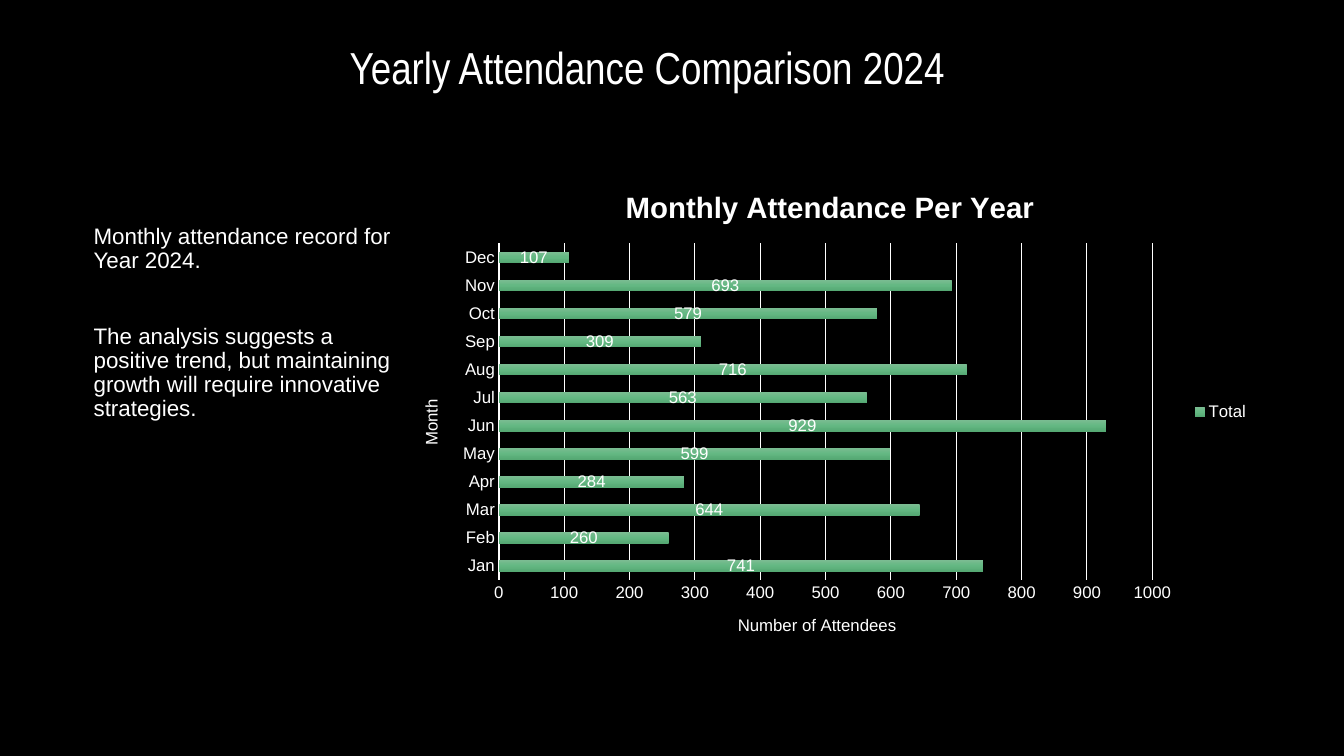
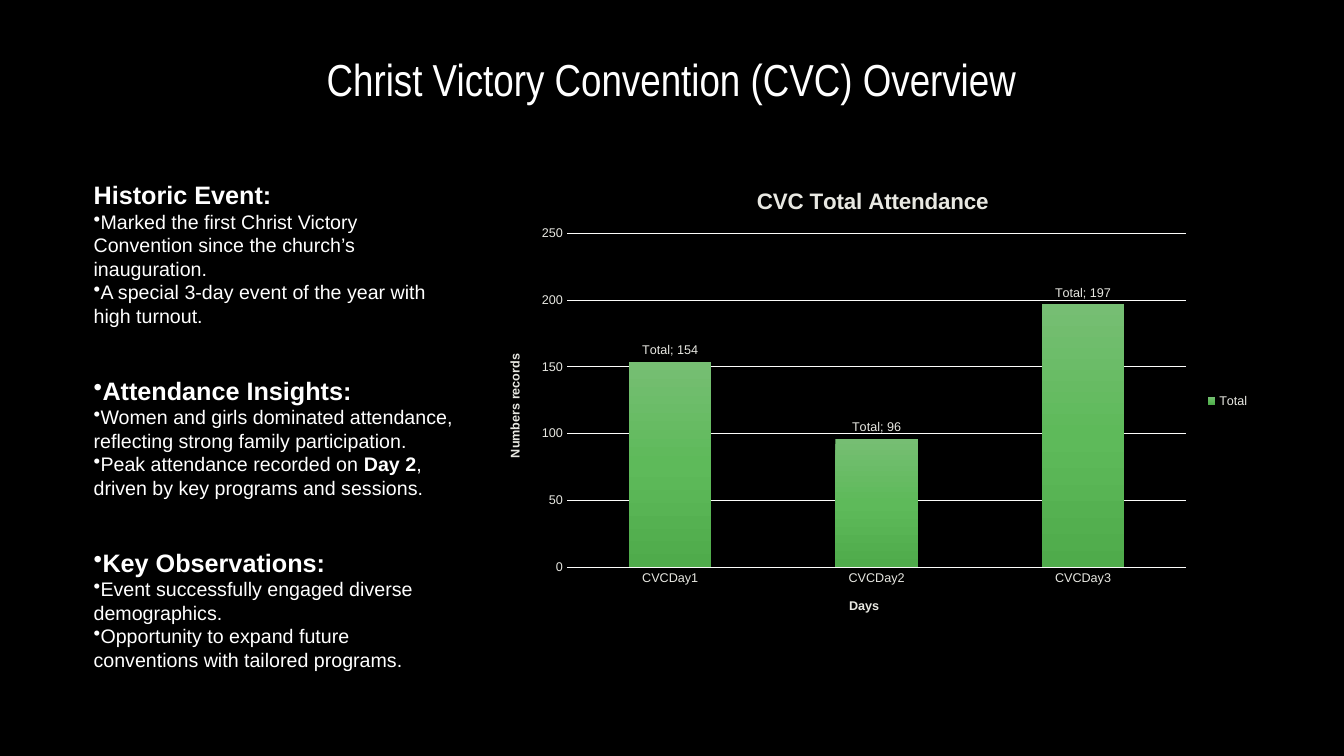
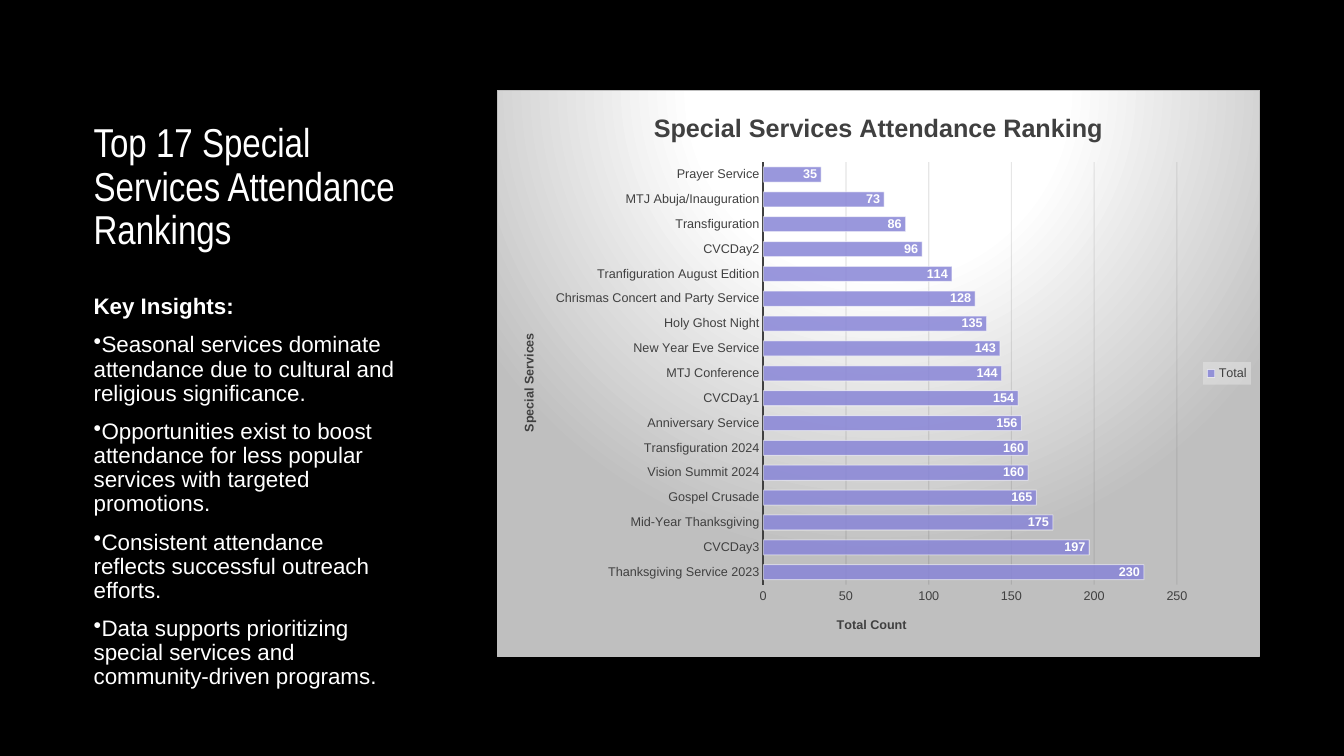
from collections import namedtuple
from dataclasses import dataclass

from lxml import etree
from pptx import Presentation
from pptx.chart.data import CategoryChartData
from pptx.dml.color import RGBColor
from pptx.enum.chart import XL_CHART_TYPE, XL_LABEL_POSITION, XL_LEGEND_POSITION, XL_TICK_MARK
from pptx.enum.text import MSO_ANCHOR, PP_ALIGN
from pptx.oxml import parse_xml
from pptx.oxml.ns import nsdecls, qn
from pptx.util import Cm, Pt

BLACK, WHITE, GREY = "000000", "FFFFFF", "404040"
SILVER, CREAM = "BFBFBF", "E8E8E2"
BODY_FONT, TITLE_FONT = "Arial", "Arial Narrow"
LEFT = 2.11  # cm, shared left edge

Box = namedtuple("Box", "left top width height")


@dataclass
class Para:
    """A paragraph; text between double asterisks is bold."""
    text: str
    size: float = 16
    bullet: bool = False
    before: float = 0


@dataclass
class ChartStyle:
    """What differs from one attendance chart to the next."""
    kind: int
    title: str
    title_size: float
    category_title: str
    value_title: str
    maximum: int
    step: int
    gap: int
    plot: Box  # shares of the chart box
    label_position: int
    text: str = WHITE
    size: float = 9
    bold_titles: bool = True
    axis_line: tuple = (WHITE, 0.75)
    grid: str = WHITE
    label_color: str = WHITE
    label_bold: bool = False
    label_series: bool = False


def rgb(value):
    return RGBColor.from_string(value)


def set_font(font, size, color=WHITE, bold=False, name=BODY_FONT):
    font.size, font.bold, font.name = Pt(size), bold, name
    font.color.rgb = rgb(color)


def set_line(line, color, width):
    line.color.rgb = rgb(color)
    line.width = Pt(width)


def set_alpha(element, percent):
    for color in element.iter(qn("a:srgbClr")):
        etree.SubElement(color, qn("a:alpha")).set("val", str(percent * 1000))


def gradient(stops, direction):
    stop_list = "".join(
        f'<a:gs pos="{place * 1000}"><a:srgbClr val="{color}"/></a:gs>' for place, color in stops)
    return f'<a:gradFill rotWithShape="1"><a:gsLst>{stop_list}</a:gsLst>{direction}</a:gradFill>'


def shape_properties(content):
    return parse_xml(f'<c:spPr {nsdecls("c", "a")}>{content}</c:spPr>')


def new_page(deck):
    page = deck.slides.add_slide(deck.slide_layouts[6])
    page.background.fill.solid()
    page.background.fill.fore_color.rgb = rgb(BLACK)
    return page


def add_text(page, box, paras, font=BODY_FONT, align=PP_ALIGN.LEFT, anchor=MSO_ANCHOR.TOP, spacing=0.9):
    frame = page.shapes.add_textbox(*map(Cm, box)).text_frame
    frame.word_wrap = True
    frame.vertical_anchor = anchor
    for index, item in enumerate(paras):
        para = frame.add_paragraph() if index else frame.paragraphs[0]
        para.alignment, para.line_spacing = align, spacing
        para.space_before = Pt(item.before if index else 0)
        if item.bullet:
            properties = para._p.get_or_add_pPr()
            properties.set("marL", "0")
            properties.set("indent", "0")
            etree.SubElement(properties, qn("a:buChar")).set("char", "•")
        for part, words in enumerate(item.text.split("**")):
            if words:
                span = para.add_run()
                span.text = words
                set_font(span.font, item.size, bold=part % 2 == 1, name=font)


def add_title(page, box, text, size=32, align=PP_ALIGN.CENTER):
    add_text(page, box, [Para(text, size)], font=TITLE_FONT, align=align, anchor=MSO_ANCHOR.BOTTOM)


def name_axis(axis, text, style, upright):
    frame = axis.axis_title.text_frame
    frame.text = text
    set_font(frame.paragraphs[0].runs[0].font, style.size, style.text, style.bold_titles)
    if upright:
        frame._txBody.bodyPr.set("rot", "-5400000")
        frame._txBody.bodyPr.set("vert", "horz")


def place_plot(chart, plot):
    """Fix the inner plot area at shares of the chart box."""
    area = chart._chartSpace.chart.plotArea
    for old in area.findall(qn("c:layout")):
        area.remove(old)
    sides = "".join(f'<c:{tag} val="{share}"/>' for tag, share in zip("xywh", plot))
    area.insert(0, parse_xml(
        f'<c:layout {nsdecls("c")}><c:manualLayout><c:layoutTarget val="inner"/>'
        f'<c:xMode val="edge"/><c:yMode val="edge"/>{sides}</c:manualLayout></c:layout>'))
    area.append(shape_properties("<a:noFill/><a:ln><a:noFill/></a:ln>"))


def add_attendance_chart(page, box, values, style, backdrop="<a:noFill/><a:ln><a:noFill/></a:ln>"):
    data = CategoryChartData()
    data.categories = list(values)
    data.add_series("Total", list(values.values()))
    chart = page.shapes.add_chart(style.kind, *map(Cm, box), data).chart
    set_font(chart.font, 10)
    chart._chartSpace.chart.addnext(shape_properties(backdrop))
    place_plot(chart, style.plot)

    chart.has_title = True
    chart.chart_title.include_in_layout = False
    heading = chart.chart_title.text_frame
    heading.text = style.title
    set_font(heading.paragraphs[0].runs[0].font, style.title_size, style.text, True)

    chart.has_legend = True
    chart.legend.position = XL_LEGEND_POSITION.RIGHT
    chart.legend.include_in_layout = False
    set_font(chart.legend.font, style.size, style.text)

    columns = style.kind == XL_CHART_TYPE.COLUMN_CLUSTERED
    name_axis(chart.category_axis, style.category_title, style, not columns)
    name_axis(chart.value_axis, style.value_title, style, columns)
    for axis in (chart.category_axis, chart.value_axis):
        axis.major_tick_mark = axis.minor_tick_mark = XL_TICK_MARK.NONE
        set_font(axis.tick_labels.font, style.size, style.text)
    set_line(chart.category_axis.format.line, *style.axis_line)
    chart.category_axis.has_major_gridlines = False
    scale = chart.value_axis
    scale.minimum_scale, scale.maximum_scale, scale.major_unit = 0, style.maximum, style.step
    scale.format.line.fill.background()
    scale.has_major_gridlines = True
    set_line(scale.major_gridlines.format.line, style.grid, 0.75)

    bars = chart.plots[0]
    bars.vary_by_categories = False
    bars.gap_width = style.gap
    bars.has_data_labels = True
    labels = bars.data_labels
    labels.show_value = True
    labels.show_series_name = style.label_series
    labels.position = style.label_position
    set_font(labels.font, style.size, style.label_color, style.label_bold)
    return chart


def shade_bars(chart, light, middle, dark):
    properties = chart.plots[0].series[0]._element.get_or_add_spPr()
    fill = gradient([(0, light), (50, middle), (100, dark)], '<a:lin ang="5400000" scaled="0"/>')
    properties.append(shape_properties(fill)[0])


def yearly_page(deck):
    page = new_page(deck)
    add_title(page, Box(LEFT, 0.86, 28.42, 1.63), "Yearly Attendance Comparison 2024")
    add_text(page, Box(LEFT, 5.54, 7.98, 6.02), [
        Para("Monthly attendance record for Year 2024."),
        Para("The analysis suggests a positive trend, but maintaining growth will require "
             "innovative strategies.", before=37),
    ])
    months = {
        "Jan": 741, "Feb": 260, "Mar": 644, "Apr": 284, "May": 599, "Jun": 929,
        "Jul": 563, "Aug": 716, "Sep": 309, "Oct": 579, "Nov": 693, "Dec": 107,
    }
    style = ChartStyle(
        XL_CHART_TYPE.BAR_STACKED, "Monthly Attendance Per Year", 21, "Month", "Number of Attendees",
        maximum=1000, step=100, gap=150, plot=Box(0.115, 0.154, 0.76, 0.69),
        label_position=XL_LABEL_POSITION.CENTER, size=12, bold_titles=False, axis_line=(WHITE, 1))
    chart = add_attendance_chart(page, Box(10.08, 4.24, 21.67, 12.29), months, style)
    shade_bars(chart, "7BBC92", "64B883", "55A873")


def convention_page(deck):
    page = new_page(deck)
    add_title(page, Box(LEFT, 0.91, 29.64, 1.88), "Christ Victory Convention (CVC) Overview")
    sections = {
        "Historic Event:": [
            "Marked the first Christ Victory Convention since the church’s inauguration.",
            "A special 3-day event of the year with high turnout."],
        "Attendance Insights:": [
            "Women and girls dominated attendance, reflecting strong family participation.",
            "Peak attendance recorded on **Day 2**, driven by key programs and sessions."],
        "Key Observations:": [
            "Event successfully engaged diverse demographics.",
            "Opportunity to expand future conventions with tailored programs."],
    }
    paras = []
    for heading, points in sections.items():
        paras.append(Para(f"**{heading}**", 18, bullet=bool(paras), before=34))
        paras += [Para(point, 14, bullet=True) for point in points]
    add_text(page, Box(LEFT, 4.4, 9.65, 13.5), paras, spacing=1.0)
    style = ChartStyle(
        XL_CHART_TYPE.COLUMN_CLUSTERED, "CVC Total Attendance", 16, "Days", "Numbers records",
        maximum=250, step=50, gap=150, plot=Box(0.105, 0.14, 0.8, 0.717),
        label_position=XL_LABEL_POSITION.OUTSIDE_END, text=CREAM, axis_line=("FCFCFB", 0.75),
        grid="FCFCFB", label_color=CREAM, label_series=True)
    days = {"CVCDay1": 154, "CVCDay2": 96, "CVCDay3": 197}
    chart = add_attendance_chart(page, Box(12.24, 4.24, 19.51, 11.73), days, style)
    shade_bars(chart, "76BE73", "5EBA5A", "4FAB4B")


def ranking_page(deck):
    page = new_page(deck)
    add_title(page, Box(LEFT, 1.68, 9.17, 4.83), "Top 17 Special Services Attendance Rankings",
              size=28.8, align=PP_ALIGN.LEFT)
    insights = [
        "Seasonal services dominate attendance due to cultural and religious significance.",
        "Opportunities exist to boost attendance for less popular services with targeted promotions.",
        "Consistent attendance reflects successful outreach efforts.",
        "Data supports prioritizing special services and community-driven programs.",
    ]
    add_text(page, Box(LEFT, 7.32, 8.08, 9.63), [
        Para("**Key Insights:**"), *(Para(text, bullet=True, before=10) for text in insights)])
    services = {
        "Thanksgiving Service 2023": 230, "CVCDay3": 197, "Mid-Year Thanksgiving": 175,
        "Gospel Crusade": 165, "Vision Summit 2024": 160, "Transfiguration 2024": 160,
        "Anniversary Service": 156, "CVCDay1": 154, "MTJ Conference": 144,
        "New Year Eve Service": 143, "Holy Ghost Night": 135,
        "Chrismas Concert and Party Service": 128, "Tranfiguration August Edition": 114,
        "CVCDay2": 96, "Transfiguration": 86, "MTJ Abuja/Inauguration": 73, "Prayer Service": 35,
    }
    style = ChartStyle(
        XL_CHART_TYPE.BAR_CLUSTERED, "Special Services Attendance Ranking", 18,
        "Special Services", "Total Count", maximum=250, step=50, gap=65,
        plot=Box(0.349, 0.127, 0.543, 0.746), label_position=XL_LABEL_POSITION.INSIDE_END,
        text=GREY, axis_line=(GREY, 1.5), grid="0D0D0D", label_bold=True)
    glow = gradient(
        [(0, WHITE), (39, WHITE), (100, SILVER)],
        '<a:path path="circle"><a:fillToRect l="50000" t="-80000" r="50000" b="180000"/></a:path>')
    border = f'<a:ln w="9525"><a:solidFill><a:srgbClr val="{SILVER}"/></a:solidFill></a:ln>'
    chart = add_attendance_chart(page, Box(12.52, 2.26, 19.23, 14.3), services, style, glow + border)
    set_alpha(chart.value_axis.major_gridlines._xAx.find(qn("c:majorGridlines")), 10)

    series = chart.plots[0].series[0]
    series.format.fill.solid()
    series.format.fill.fore_color.rgb = rgb("8885D7")
    properties = series._element.get_or_add_spPr()
    set_alpha(properties, 85)
    set_line(series.format.line, WHITE, 0.75)
    set_alpha(properties.find(qn("a:ln")), 50)

    panel = shape_properties('<a:solidFill><a:srgbClr val="F2F2F2"/></a:solidFill>')
    set_alpha(panel, 39)
    chart.legend._element.find(qn("c:overlay")).addnext(panel)


def main():
    deck = Presentation()
    deck.slide_width, deck.slide_height = Cm(33.87), Cm(19.05)
    for build_page in (yearly_page, convention_page, ranking_page):
        build_page(deck)
    deck.save("out.pptx")


if __name__ == "__main__":
    main()
